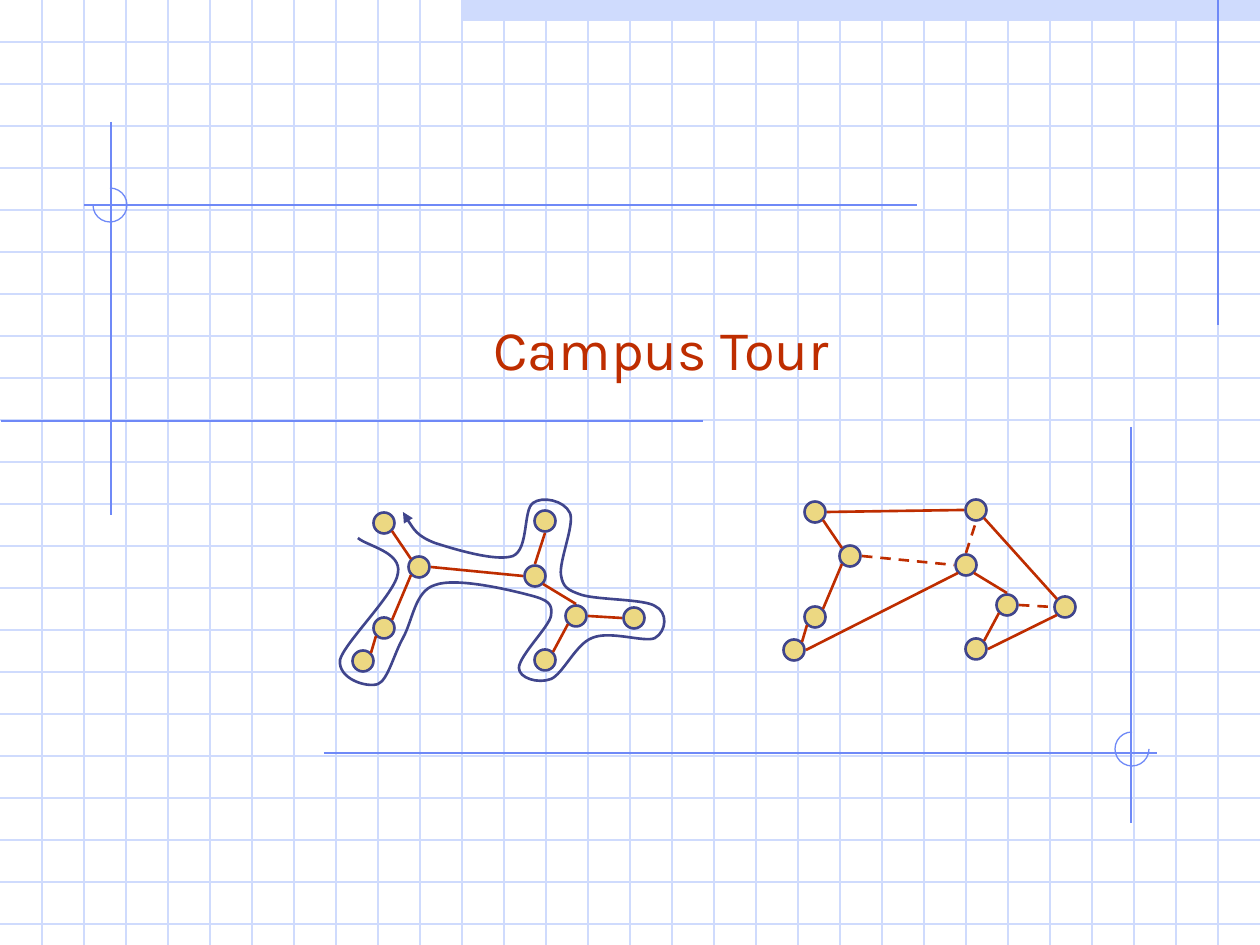
"""Build the Campus Tour title slide with its tree walk and tour graph."""
import pptx
import pptx.dml.color
import pptx.enum.dml
import pptx.enum.shapes
import pptx.enum.text
import pptx.oxml.ns
import pptx.oxml.xmlchemy
import pptx.util

PX = 914400 / 126
WIDTH, HEIGHT, GRID_STEP = 1260, 945, 42
PALE, BLUE, RED, NAVY, GOLD = "CFDBFD", "6F89F7", "BE2D00", "40458C", "ECD882"
NODE_SIZE = 21
GRAPH_SHIFT = (431, -11)

GUIDES = [
    (1218, 0, 1218, 325), (111, 122, 111, 515), (703, 421, 1, 421), (917, 205, 84, 205),
    (324, 753, 1157, 753), (1131, 427, 1131, 823),
]
ARCS = [((93, 188), 270, 180), ((1115, 732), 0, 270)]

NODES = {
    "a": (384, 523), "b": (419, 567), "c": (384, 628), "d": (363, 661), "e": (535, 576),
    "f": (545, 521), "g": (545, 660), "h": (576, 616), "i": (634, 618),
}
SITES = {
    "N": (0, -12), "E": (12, 0), "S": (0, 12), "W": (-12, 0),
    "NE": (8, -8), "SE": (8, 8), "SW": (-8, 8), "NW": (-8, -8),
}
SHARED_EDGES = [
    ("a", "SE", "b", "NW"), ("c", "NE", "b", "SW"), ("h", "N", "e", "SE"),
    ("d", "NE", "c", "SW"), ("g", "NE", "h", "SW"),
]
TREE_ONLY_EDGES = [("b", "E", "e", "W"), ("e", "N", "f", "S"), ("h", "E", "i", "W")]
GRAPH_ONLY_EDGES = [
    ("d", "E", "e", "SW"), ("g", "E", "i", "SW"), ("i", "NW", "f", "SE"), ("a", "E", "f", "W"),
]

TOUR_START = (403, 512)
TOUR_CURVES = [
    ((410, 524), (417, 536), (435, 543)), ((454, 549), (496, 562), (513, 556)),
    ((529, 549), (523, 510), (533, 503)), ((542, 496), (564, 500), (570, 513)),
    ((575, 524), (559, 561), (561, 575)), ((563, 587), (567, 590), (582, 595)),
    ((599, 600), (644, 599), (655, 606)), ((668, 612), (667, 631), (655, 638)),
    ((645, 643), (610, 630), (592, 638)), ((576, 644), (563, 674), (551, 679)),
    ((538, 684), (519, 678), (519, 668)), ((519, 656), (549, 627), (551, 616)),
    ((553, 604), (549, 600), (529, 595)), ((510, 590), (456, 577), (435, 585)),
    ((415, 591), (413, 620), (403, 638)), ((394, 654), (388, 680), (378, 684)),
    ((367, 688), (338, 679), (340, 660)), ((344, 643), (396, 593), (398, 573)),
    ((402, 552), (367, 546), (358, 538)),
]


def emu(*lengths):
    return [round(length * PX) for length in lengths]


def color(value):
    return pptx.dml.color.RGBColor.from_string(value)


def add_child(parent, tag, **attributes):
    child = pptx.oxml.xmlchemy.OxmlElement(tag)
    for name, value in attributes.items():
        child.set(name, str(value))
    parent.append(child)
    return child


def format_line(line, value, width):
    line.color.rgb = color(value)
    line.width = pptx.util.Pt(width)


def add_line(slide, ends, value, width=0.75, dashed=False):
    connector = slide.shapes.add_connector(pptx.enum.shapes.MSO_CONNECTOR.STRAIGHT, *emu(*ends))
    format_line(connector.line, value, width)
    if dashed:
        connector.line.dash_style = pptx.enum.dml.MSO_LINE.DASH
    add_child(connector.element.spPr, "a:effectLst")


def format_shape(shape, fill=None, line=None, width=1.5):
    shape.shadow.inherit = False
    if fill:
        shape.fill.solid()
        shape.fill.fore_color.rgb = color(fill)
    else:
        shape.fill.background()
    if line:
        format_line(shape.line, line, width)
    else:
        shape.line.fill.background()


def add_shape(slide, kind, box, **style):
    shape = slide.shapes.add_shape(kind, *emu(*box))
    format_shape(shape, **style)
    return shape


def add_background(slide):
    kinds = pptx.enum.shapes.MSO_SHAPE
    add_shape(slide, kinds.RECTANGLE, (462, 0, WIDTH - 462, 21), fill=PALE)
    for y in range(GRID_STEP, HEIGHT, GRID_STEP):
        add_line(slide, (0, y, WIDTH, y), PALE)
    for x in range(GRID_STEP, WIDTH, GRID_STEP):
        add_line(slide, (x, 0, x, HEIGHT), PALE)
    for ends in GUIDES:
        add_line(slide, ends, BLUE)
    for corner, start, end in ARCS:
        arc = add_shape(slide, kinds.ARC, (*corner, 34, 34), line=BLUE, width=0.75)
        arc.adjustments[0] = start * 0.6
        arc.adjustments[1] = end * 0.6


def add_title(slide, text, box, font, size, value):
    title = slide.shapes.title
    title.left, title.top, title.width, title.height = emu(*box)
    slide.shapes.element.append(title.element)
    frame = title.text_frame
    frame.text = text
    frame.auto_size = pptx.enum.text.MSO_AUTO_SIZE.NONE
    frame.vertical_anchor = pptx.enum.text.MSO_ANCHOR.BOTTOM
    paragraph = frame.paragraphs[0]
    paragraph.alignment = pptx.enum.text.PP_ALIGN.CENTER
    paragraph.font.name = font
    paragraph.font.size = pptx.util.Pt(size)
    paragraph.font.color.rgb = color(value)


def add_network(slide, edges, dashed_edges=(), shift=(0, 0)):
    nodes = {name: (x + shift[0], y + shift[1]) for name, (x, y) in NODES.items()}
    for x, y in nodes.values():
        box = (x - NODE_SIZE / 2, y - NODE_SIZE / 2, NODE_SIZE, NODE_SIZE)
        add_shape(slide, pptx.enum.shapes.MSO_SHAPE.OVAL, box, fill=GOLD, line=NAVY)
    for edge in [*edges, *dashed_edges]:
        ends = []
        for name, site in (edge[:2], edge[2:]):
            ends += [place + offset for place, offset in zip(nodes[name], SITES[site])]
        add_line(slide, ends, RED, 1.5, edge in dashed_edges)


def add_tour(slide):
    knots = [TOUR_START] + [curve[-1] for curve in TOUR_CURVES]
    left, top = (min(values) for values in zip(*knots))
    builder = slide.shapes.build_freeform(*TOUR_START, scale=PX)
    builder.add_line_segments(knots[1:], close=False)
    tour = builder.convert_to_shape()
    format_shape(tour, line=NAVY)
    segments = list(tour.element.iter(pptx.oxml.ns.qn("a:lnTo")))
    outline = segments[0].getparent()
    for segment, curve in zip(segments, TOUR_CURVES):
        outline.remove(segment)
        bezier = add_child(outline, "a:cubicBezTo")
        for x, y in curve:
            add_child(bezier, "a:pt", x=x - left, y=y - top)
    stroke = next(tour.element.iter(pptx.oxml.ns.qn("a:ln")))
    add_child(stroke, "a:headEnd", type="triangle")


def main():
    presentation = pptx.Presentation()
    presentation.slide_width, presentation.slide_height = emu(WIDTH, HEIGHT)
    slide = presentation.slides.add_slide(presentation.slide_layouts[5])
    add_background(slide)
    add_title(slide, "Campus Tour", (126, 231, 1071, 157), font="Karla", size=32, value=RED)
    add_network(slide, SHARED_EDGES + TREE_ONLY_EDGES)
    add_tour(slide)
    add_network(slide, SHARED_EDGES + GRAPH_ONLY_EDGES, TREE_ONLY_EDGES, GRAPH_SHIFT)
    presentation.save("out.pptx")


if __name__ == "__main__":
    main()
